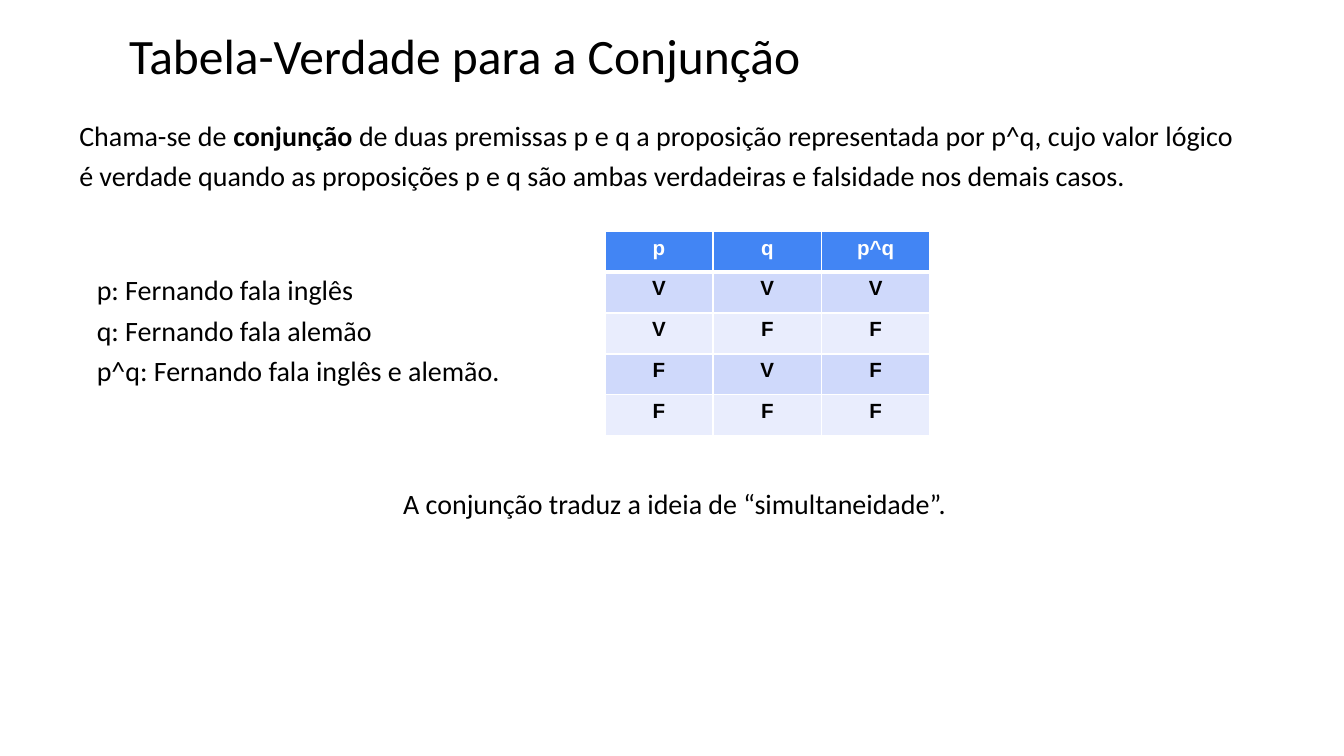
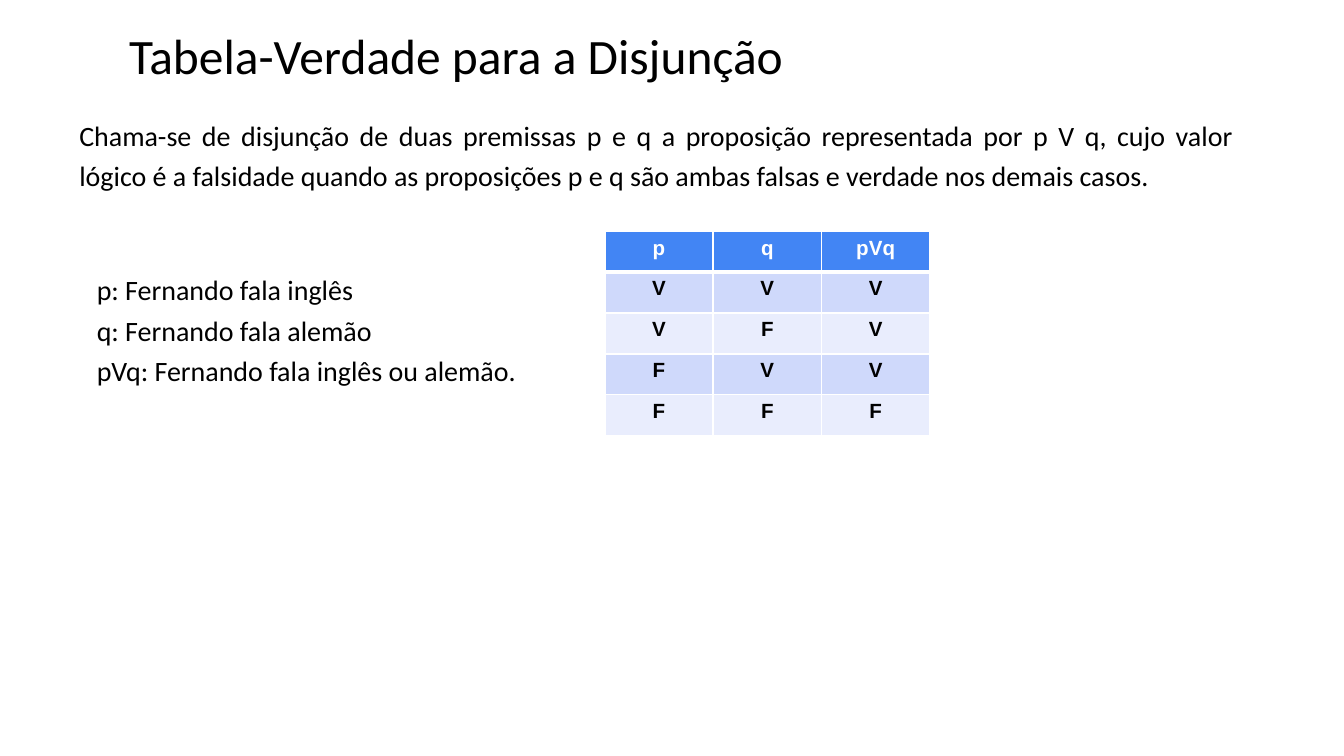
import dataclasses
import itertools

import lxml.etree
import pptx
import pptx.dml.color
import pptx.enum.text
import pptx.oxml.ns
import pptx.util

Inches = pptx.util.Inches
Align = pptx.enum.text.PP_ALIGN


@dataclasses.dataclass(frozen=True)
class Theme:
    text: str = "000000"
    white: str = "FFFFFF"
    header: str = "4285F4"
    bands: tuple = ("CFD9FB", "E9EDFD")
    body_font: str = "Calibri"
    table_font: str = "Arial"
    title_size: float = 26.5
    body_size: float = 15
    table_size: float = 11
    line_spacing: float = 1.2
    thin_border: float = 1
    thick_border: float = 3
    inset_x: float = 0.07
    inset_y: float = 0.04


THEME = Theme()

PAGE_WIDTH = 10
PAGE_HEIGHT = PAGE_WIDTH * 9 / 16
TITLE_BOX = (0.89, 0.15, 7.05, 0.53)
DEFINITION_BOX = (0.52, 0.79, 8.73, 2.73)
TABLE_BOX = (4.5, 1.72, 2.42, 1.52)
EXAMPLES_BOX = (0.65, 1.94, 3.48, 0.78)
CONCLUSION_BOX = (2.93, 3.53, 7.29, 0.78)


def rgb(value):
    return pptx.dml.color.RGBColor.from_string(value)


def set_font(para, name, size, color):
    para.font.name = name
    para.font.size = pptx.util.Pt(size)
    para.font.color.rgb = rgb(color)


def set_insets(area):
    area.margin_left = area.margin_right = Inches(THEME.inset_x)
    area.margin_top = area.margin_bottom = Inches(THEME.inset_y)


def add_text(page, box, paragraphs, size=THEME.body_size, alignment=Align.JUSTIFY,
             line_spacing=THEME.line_spacing):
    """Each paragraph is a list of spans; every second span is bold."""
    frame = page.shapes.add_textbox(*map(Inches, box)).text_frame
    frame.word_wrap = True
    set_insets(frame)
    for index, spans in enumerate(paragraphs):
        para = frame.add_paragraph() if index else frame.paragraphs[0]
        para.alignment = alignment
        para.line_spacing = line_spacing
        set_font(para, THEME.body_font, size, THEME.text)
        for position, text in enumerate(spans):
            span = para.add_run()
            span.text = text
            if position % 2:
                span.font.bold = True


def add_title(page, text):
    add_text(page, TITLE_BOX, [[text]], THEME.title_size, Align.LEFT, None)


def set_borders(cell, row):
    """White grid, with a thick rule between the header and the first row."""
    widths = {"a:lnL": THEME.thin_border, "a:lnR": THEME.thin_border,
              "a:lnT": THEME.thick_border if row == 1 else THEME.thin_border,
              "a:lnB": THEME.thick_border if row == 0 else THEME.thin_border}
    qn = pptx.oxml.ns.qn
    properties = cell._tc.get_or_add_tcPr()
    for tag, width in widths.items():
        line = lxml.etree.SubElement(properties, qn(tag), w=str(pptx.util.Pt(width)))
        fill = lxml.etree.SubElement(line, qn("a:solidFill"))
        lxml.etree.SubElement(fill, qn("a:srgbClr"), val=THEME.white)


def fill_cell(cell, row, text):
    set_insets(cell)
    set_borders(cell, row)
    cell.fill.solid()
    cell.fill.fore_color.rgb = rgb(THEME.bands[(row - 1) % 2] if row else THEME.header)
    cell.text = text
    para = cell.text_frame.paragraphs[0]
    para.alignment = Align.CENTER
    para.font.bold = True
    set_font(para, THEME.table_font, THEME.table_size, THEME.text if row else THEME.white)


def add_truth_table(page, box, formula, operation):
    rows = [("p", "q", formula)]
    for p, q in itertools.product((True, False), repeat=2):
        rows.append(tuple("V" if value else "F" for value in (p, q, operation((p, q)))))
    left, top, width, height = map(Inches, box)
    table = page.shapes.add_table(len(rows), len(rows[0]), left, top, width, height).table
    for column in table.columns:
        column.width = width // len(rows[0])
    for row, values in enumerate(rows):
        table.rows[row].height = height // len(rows)
        for column, text in enumerate(values):
            fill_cell(table.cell(row, column), row, text)


def add_connective_page(deck, title, definition, formula, operation, example, conclusion=None):
    page = deck.slides.add_slide(deck.slide_layouts[6])
    add_title(page, title)
    add_text(page, DEFINITION_BOX, [definition])
    add_truth_table(page, TABLE_BOX, formula, operation)
    if conclusion:
        add_text(page, CONCLUSION_BOX, [[conclusion]])
    add_text(page, EXAMPLES_BOX, [["p: Fernando fala inglês"], ["q: Fernando fala alemão"],
                                  [f"{formula}: {example}"]])


def main():
    deck = pptx.Presentation()
    deck.slide_width, deck.slide_height = Inches(PAGE_WIDTH), Inches(PAGE_HEIGHT)
    add_connective_page(
        deck, "Tabela-Verdade para a Conjunção",
        ["Chama-se de ", "conjunção",
         " de duas premissas p e q a proposição representada por p^q, cujo valor lógico é "
         "verdade quando as proposições p e q são ambas verdadeiras e falsidade nos demais casos."],
        "p^q", all, "Fernando fala inglês e alemão.",
        "A conjunção traduz a ideia de “simultaneidade”.")
    add_connective_page(
        deck, "Tabela-Verdade para a Disjunção",
        ["Chama-se de disjunção de duas premissas p e q a proposição representada por p V q, "
         "cujo valor lógico é a falsidade quando as proposições p e q são ambas falsas e "
         "verdade nos demais casos."],
        "pVq", any, "Fernando fala inglês ou alemão.")
    deck.save("out.pptx")


if __name__ == "__main__":
    main()
